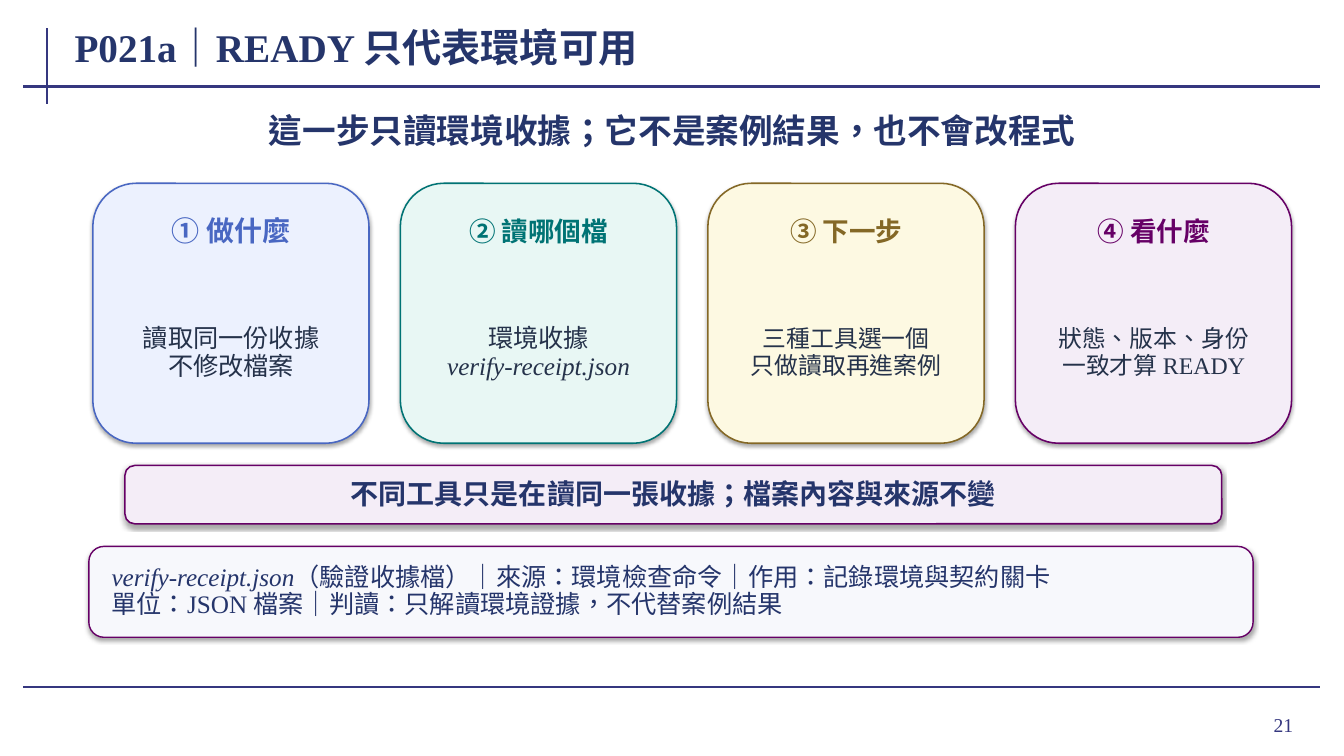
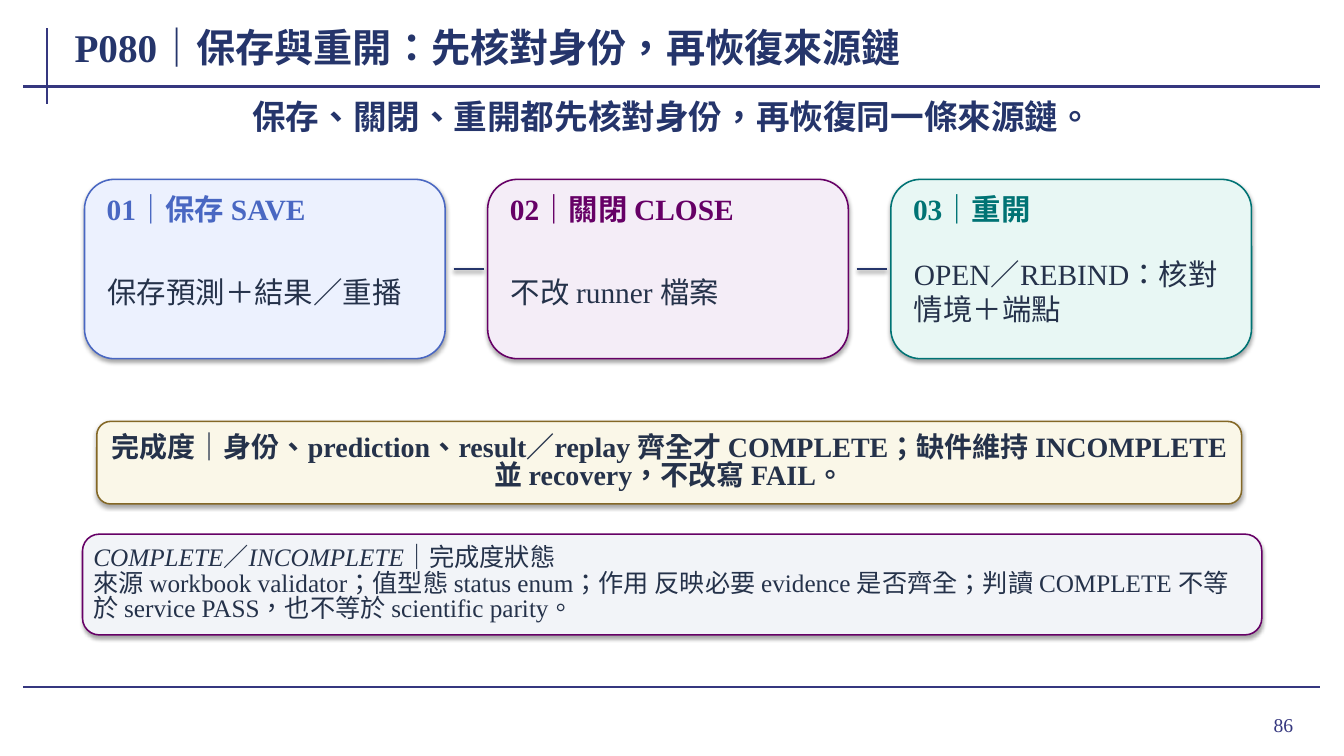
import pptx
import pptx.dml.color
import pptx.enum.shapes
import pptx.enum.text
import pptx.oxml
import pptx.oxml.ns
import pptx.util

Cm = pptx.util.Cm
Pt = pptx.util.Pt
RGBColor = pptx.dml.color.RGBColor
PP_ALIGN = pptx.enum.text.PP_ALIGN
MSO_SHAPE = pptx.enum.shapes.MSO_SHAPE

NAVY = RGBColor(0x25, 0x35, 0x6B)
INK = RGBColor(0x25, 0x32, 0x4A)
RULE = RGBColor(0x35, 0x37, 0x7F)
BLUE = RGBColor(0x49, 0x67, 0xC2)
TEAL = RGBColor(0x00, 0x73, 0x74)
GOLD = RGBColor(0x84, 0x68, 0x26)
PLUM = RGBColor(0x66, 0x00, 0x66)
PALE_BLUE = RGBColor(0xEC, 0xF1, 0xFE)
PALE_TEAL = RGBColor(0xE8, 0xF7, 0xF4)
PALE_GOLD = RGBColor(0xFD, 0xF9, 0xE2)
PALE_PLUM = RGBColor(0xF4, 0xED, 0xF7)
CREAM = RGBColor(0xFA, 0xF7, 0xE8)
MIST = RGBColor(0xF7, 0xF8, 0xFC)
GREY = RGBColor(0xF2, 0xF4, 0xF8)


class Deck:
    FONT = "Times New Roman"
    LANG = "zh-TW"

    def __init__(self):
        self.prs = pptx.Presentation()
        self.prs.slide_width = Cm(33.87)
        self.prs.slide_height = Cm(19.05)
        self.s = None

    def slide(self, title, number):
        self.s = self.prs.slides.add_slide(self.prs.slide_layouts[5])
        self.rule(1.19, 0.71, 1.19, 2.62)
        self.rule(0.58, 2.18, 33.27, 2.18)
        self.rule(0.58, 17.32, 33.27, 17.32)
        self.text((30.38, 17.6, 2.46, 1.32), number, 14, RULE,
                  align=PP_ALIGN.RIGHT, inset=(0.25, 0.13))
        sp = self.s.shapes.title
        sp.left, sp.top, sp.width, sp.height = map(Cm, (1.83, 0.51, 26.29, 1.35))
        self.set_text(sp, title, 28, NAVY, bold=True, inset=(0.05, 0))

    def set_text(self, sp, text, size, color, bold=False, align=PP_ALIGN.LEFT,
                 inset=(0.05, 0), spacing=1.0):
        """Fill a shape; newlines part paragraphs, *stars* enclose italics."""
        tf = sp.text_frame
        tf.word_wrap = True
        tf.auto_size = pptx.enum.text.MSO_AUTO_SIZE.NONE
        tf.vertical_anchor = pptx.enum.text.MSO_ANCHOR.MIDDLE
        tf.margin_left = tf.margin_right = Cm(inset[0])
        tf.margin_top = tf.margin_bottom = Cm(inset[1])
        tf.text = text
        for p in tf.paragraphs:
            p.alignment = align
            p.line_spacing = spacing
            pieces = p.text.split("*")
            p.text = ""
            for i, piece in enumerate(pieces):
                if not piece:
                    continue
                r = p.add_run()
                r.text = piece
                r.font.name = self.FONT
                r.font.size = Pt(size)
                r.font.bold = bold
                r.font.italic = i % 2 == 1
                r.font.color.rgb = color
                r._r.get_or_add_rPr().set("lang", self.LANG)

    def text(self, box, text, size, color, **style):
        sp = self.s.shapes.add_textbox(*map(Cm, box))
        self.set_text(sp, text, size, color, **style)

    def panel(self, box, fill, edge, width=1.1):
        sp = self.s.shapes.add_shape(MSO_SHAPE.ROUNDED_RECTANGLE, *map(Cm, box))
        sp.fill.solid()
        sp.fill.fore_color.rgb = fill
        sp.line.color.rgb = edge
        sp.line.width = Pt(width)
        self.effects(sp, 35, 1.8)
        return sp

    def rule(self, x1, y1, x2, y2, color=RULE, width=1.5, shade=None):
        sp = self.s.shapes.add_connector(
            pptx.enum.shapes.MSO_CONNECTOR.STRAIGHT, *map(Cm, (x1, y1, x2, y2)))
        sp.line.color.rgb = color
        sp.line.width = Pt(width)
        self.effects(sp, shade, 1.6)

    def effects(self, sp, shade, distance):
        """Replace the theme effect by a soft drop shadow, or by none."""
        shadow = ""
        if shade:
            shadow = (f'<a:outerShdw blurRad="{Pt(3.1)}" dist="{Pt(distance)}" '
                      'dir="5400000" rotWithShape="0"><a:srgbClr val="000000">'
                      f'<a:alpha val="{shade * 1000}"/></a:srgbClr></a:outerShdw>')
        ns = pptx.oxml.ns.nsdecls("a")
        sp._element.spPr.append(pptx.oxml.parse_xml(
            f"<a:effectLst {ns}>{shadow}</a:effectLst>"))


def ready_slide(deck):
    deck.slide("P021a｜READY 只代表環境可用", "21")
    center = PP_ALIGN.CENTER
    deck.text((2.59, 2.67, 28.7, 1.32), "這一步只讀環境收據；它不是案例結果，也不會改程式",
              24, NAVY, bold=True, align=center, spacing=0.96)
    cards = [
        ("① 做什麼", 20, "讀取同一份收據\n不修改檔案", 18, PALE_BLUE, BLUE),
        ("② 讀哪個檔", 19, "環境收據\n*verify-receipt.json*", 18, PALE_TEAL, TEAL),
        ("③ 下一步", 19, "三種工具選一個\n只做讀取再進案例", 17, PALE_GOLD, GOLD),
        ("④ 看什麼", 19, "狀態、版本、身份\n一致才算 READY", 17, PALE_PLUM, PLUM),
    ]
    for i, (head, head_size, body, body_size, fill, edge) in enumerate(cards):
        x = 2.34 + 7.75 * i
        deck.panel((x, 4.62, 6.96, 6.55), fill, edge)
        deck.text((x + 0.41, 5.13, 6.15, 1.47), head, head_size, edge, bold=True,
                  align=center, inset=(0.08, 0.03), spacing=0.92)
        deck.text((x + 0.46, 7.11, 6.05, 3.56), body, body_size, INK,
                  align=center, inset=(0.13, 0.03), spacing=0.94)
    banner = deck.panel((3.15, 11.73, 27.64, 1.47), PALE_PLUM, PLUM)
    deck.set_text(banner, "不同工具只是在讀同一張收據；檔案內容與來源不變", 20, NAVY,
                  bold=True, align=center, inset=(0.3, 0.1), spacing=0.95)
    note = deck.panel((2.24, 13.77, 29.34, 2.29), MIST, PLUM, width=1)
    deck.set_text(note, "*verify-receipt.json*（驗證收據檔）｜來源：環境檢查命令｜作用：記錄環境與契約關卡\n"
                  "單位：JSON 檔案｜判讀：只解讀環境證據，不代替案例結果",
                  18, NAVY, inset=(0.46, 0.08), spacing=0.9)


def reopen_slide(deck):
    deck.slide("P080｜保存與重開：先核對身份，再恢復來源鏈", "86")
    center = PP_ALIGN.CENTER
    deck.text((2.08, 2.36, 29.72, 1.14), "保存、關閉、重開都先核對身份，再恢復同一條來源鏈。",
              24, NAVY, bold=True, align=center)
    steps = [
        ("01｜保存 SAVE", "保存預測＋結果／重播", PALE_BLUE, BLUE),
        ("02｜關閉 CLOSE", "不改 runner 檔案", PALE_PLUM, PLUM),
        ("03｜重開", "OPEN／REBIND：核對情境＋端點", PALE_TEAL, TEAL),
    ]
    for i, (head, body, fill, edge) in enumerate(steps):
        x = 2.13 + 10.16 * i
        deck.panel((x, 4.52, 9.09, 4.52), fill, edge)
        deck.text((x + 0.36, 4.72, 8.38, 1.07), head, 21, edge, bold=True,
                  inset=(0.2, 0.1))
        deck.text((x + 0.38, 5.89, 8.33, 2.9), body, 21, INK, inset=(0.2, 0.1))
        if i < len(steps) - 1:
            deck.rule(x + 9.3, 6.78, x + 10.06, 6.78, NAVY, 2, shade=38)
    banner = deck.panel((2.44, 10.62, 28.85, 2.08), CREAM, GOLD)
    deck.set_text(banner, "完成度｜身份、prediction、result／replay 齊全才 COMPLETE；"
                  "缺件維持 INCOMPLETE 並 recovery，不改寫 FAIL。", 20, INK,
                  bold=True, align=center, inset=(0.2, 0.05), spacing=0.84)
    note = deck.panel((2.08, 13.46, 29.72, 2.54), GREY, PLUM)
    deck.set_text(note, "*COMPLETE*／*INCOMPLETE*｜完成度狀態\n"
                  "來源 workbook validator；值型態 status enum；作用 反映必要 evidence 是否齊全；"
                  "判讀 COMPLETE 不等於 service PASS，也不等於 scientific parity。",
                  18, INK, inset=(0.15, 0.05), spacing=0.84)


def main():
    deck = Deck()
    ready_slide(deck)
    reopen_slide(deck)
    deck.prs.save("out.pptx")


if __name__ == "__main__":
    main()
